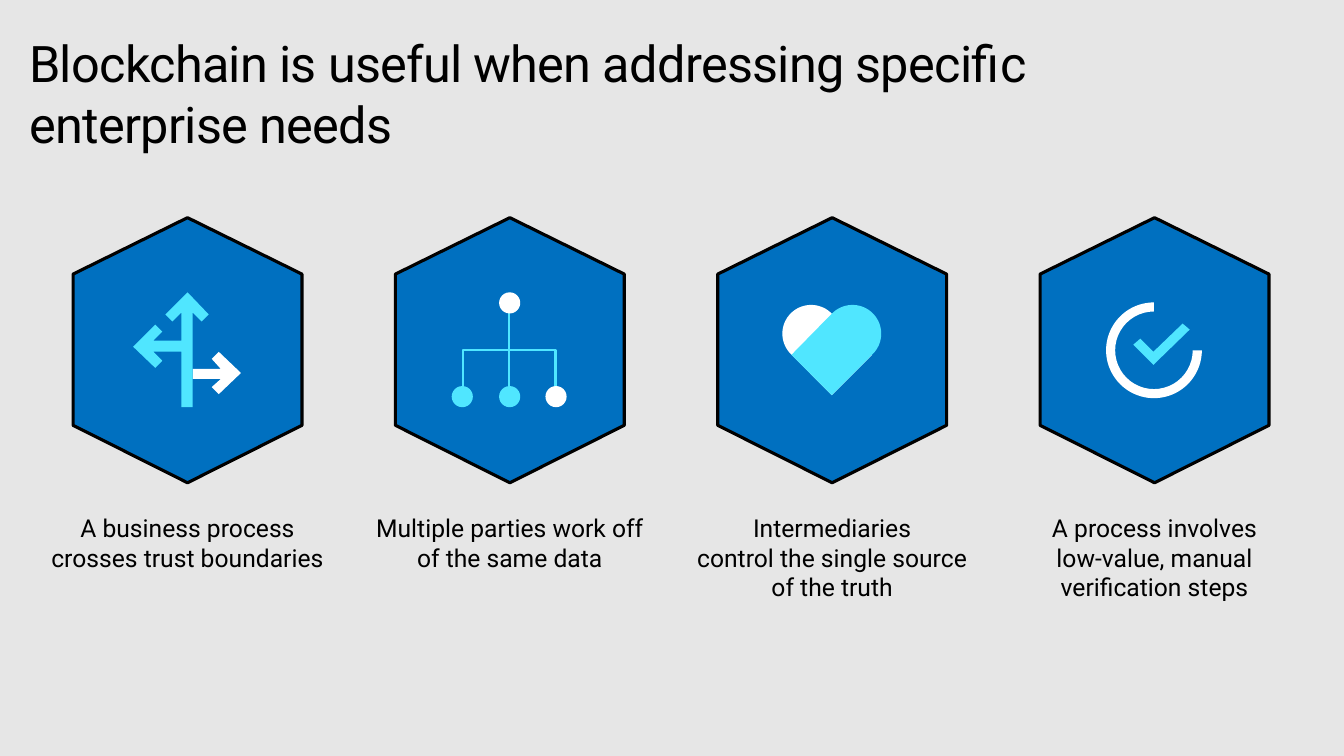
"""Build a slide of four blue hexagons showing when blockchain is useful."""
from math import cos, radians, sin

from lxml.etree import SubElement
from pptx import Presentation
from pptx.dml.color import RGBColor
from pptx.enum.shapes import MSO_CONNECTOR as Connector, MSO_SHAPE as Preset
from pptx.enum.text import MSO_ANCHOR as Anchor, MSO_AUTO_SIZE as AutoSize, PP_ALIGN as Align
from pptx.oxml.ns import qn
from pptx.util import Inches, Pt

BLUE, CYAN, WHITE, BLACK, GREY = "0070C0", "50E6FF", "FFFFFF", "000000", "E6E6E6"
FIRST_CENTER, PITCH = 1.86, 3.197


def paint(shape, fill=None, line=None, width=0):
    shape.shadow.inherit = False
    if fill:
        shape.fill.solid()
        shape.fill.fore_color.rgb = RGBColor.from_string(fill)
    else:
        shape.fill.background()
    if line:
        shape.line.color.rgb = RGBColor.from_string(line)
        shape.line.width = Pt(width)
    else:
        shape.line.fill.background()


def outline(points, close=True):
    corners = [(Inches(x), Inches(y)) for x, y in points]
    builder = page.shapes.build_freeform(*corners[0])
    builder.add_line_segments(corners[1:], close=close)
    return builder.convert_to_shape()


deck = Presentation()
deck.slide_width, deck.slide_height = Inches(13.33), Inches(7.5)
page = deck.slides.add_slide(deck.slide_layouts[5])
page.background.fill.solid()
page.background.fill.fore_color.rgb = RGBColor.from_string(GREY)

title = page.shapes.title
title.left, title.top, title.width, title.height = map(Inches, (0.29, 0.32, 12.75, 1.21))
texts = [(title, ["Blockchain is useful when addressing specific", "enterprise needs"], 36, Align.LEFT)]

captions = [
    ["A business process crosses trust boundaries"],
    ["Multiple parties work off of the same data"],
    ["Intermediaries", "control the single source of the truth"],
    ["A process involves", "low-value, manual verification steps"],
]
for column, caption in enumerate(captions):
    center = FIRST_CENTER + column * PITCH
    left, right = center - 1.135, center + 1.135
    hexagon = outline([(center, 2.16), (right, 2.72), (right, 4.22),
                       (center, 4.79), (left, 4.22), (left, 2.72)])
    paint(hexagon, BLUE, BLACK, 2.25)
    box = page.shapes.add_textbox(Inches(center - 1.355), Inches(5.09), Inches(2.71), Inches(1))
    texts.append((box, caption, 17.6, Align.CENTER))

for box, lines, size, align in texts:
    frame = box.text_frame
    frame.word_wrap = True
    frame.auto_size = AutoSize.NONE
    frame.vertical_anchor = Anchor.TOP
    frame.margin_left = frame.margin_right = frame.margin_top = frame.margin_bottom = 0
    para = frame.paragraphs[0]
    para.alignment = align
    for index, line in enumerate(lines):
        if index:
            para.add_line_break()
        span = para.add_run()
        span.text = line
        span.font.name = "Roboto"
        span.font.size = Pt(size)
        span.font.color.rgb = RGBColor.from_string(BLACK)
        if box is title:
            span.font._element.set("spc", "-50")

right_arrow = [(1.91, 3.76), (2.19, 3.76), (2.1, 3.84), (2.17, 3.91), (2.39, 3.7),
               (2.17, 3.49), (2.1, 3.56), (2.19, 3.66), (1.91, 3.66)]
up_left_arrow = [(1.91, 4.04), (1.91, 3.1), (2, 3.19), (2.07, 3.12), (1.86, 2.9), (1.64, 3.12),
                 (1.71, 3.19), (1.8, 3.1), (1.8, 3.38), (1.52, 3.38), (1.61, 3.29), (1.54, 3.22),
                 (1.32, 3.44), (1.54, 3.65), (1.61, 3.58), (1.52, 3.49), (1.8, 3.49), (1.8, 4.04)]
paint(outline(right_arrow), WHITE)
paint(outline(up_left_arrow), CYAN)

bracket = outline([(4.59, 3.93), (4.59, 3.47), (5.51, 3.47), (5.51, 3.93)], close=False)
paint(bracket, line=CYAN, width=1.75)
stem = page.shapes.add_connector(Connector.STRAIGHT, Inches(5.05), Inches(3.05), Inches(5.05), Inches(3.95))
stem.line.color.rgb = RGBColor.from_string(CYAN)
stem.line.width = Pt(1.75)
SubElement(stem._element.spPr, qn("a:effectLst"))
for x, y, color in [(4.95, 3.83, CYAN), (4.95, 2.9, WHITE), (5.41, 3.83, WHITE), (4.48, 3.83, CYAN)]:
    node = page.shapes.add_shape(Preset.OVAL, Inches(x), Inches(y), Inches(0.21), Inches(0.21))
    paint(node, color)

for side, color in [(-1, WHITE), (1, CYAN)]:
    lobe = [(8.25 + side * (0.205 + 0.285 * cos(radians(angle))), 3.31 + 0.285 * sin(radians(angle)))
            for angle in range(45, -136, -5)]
    paint(outline(lobe + [(8.25 - side * 0.4, 3.52), (8.25, 3.92)]), color)

ring = page.shapes.add_shape(Preset.BLOCK_ARC, Inches(10.97), Inches(3), Inches(0.95), Inches(0.95))
ring.adjustments[0], ring.adjustments[1], ring.adjustments[2] = 0, 162, 0.095
paint(ring, WHITE)
tick = outline([(11.24, 3.42), (11.31, 3.36), (11.44, 3.49), (11.73, 3.21), (11.8, 3.27), (11.44, 3.62)])
paint(tick, CYAN)

deck.save("out.pptx")
